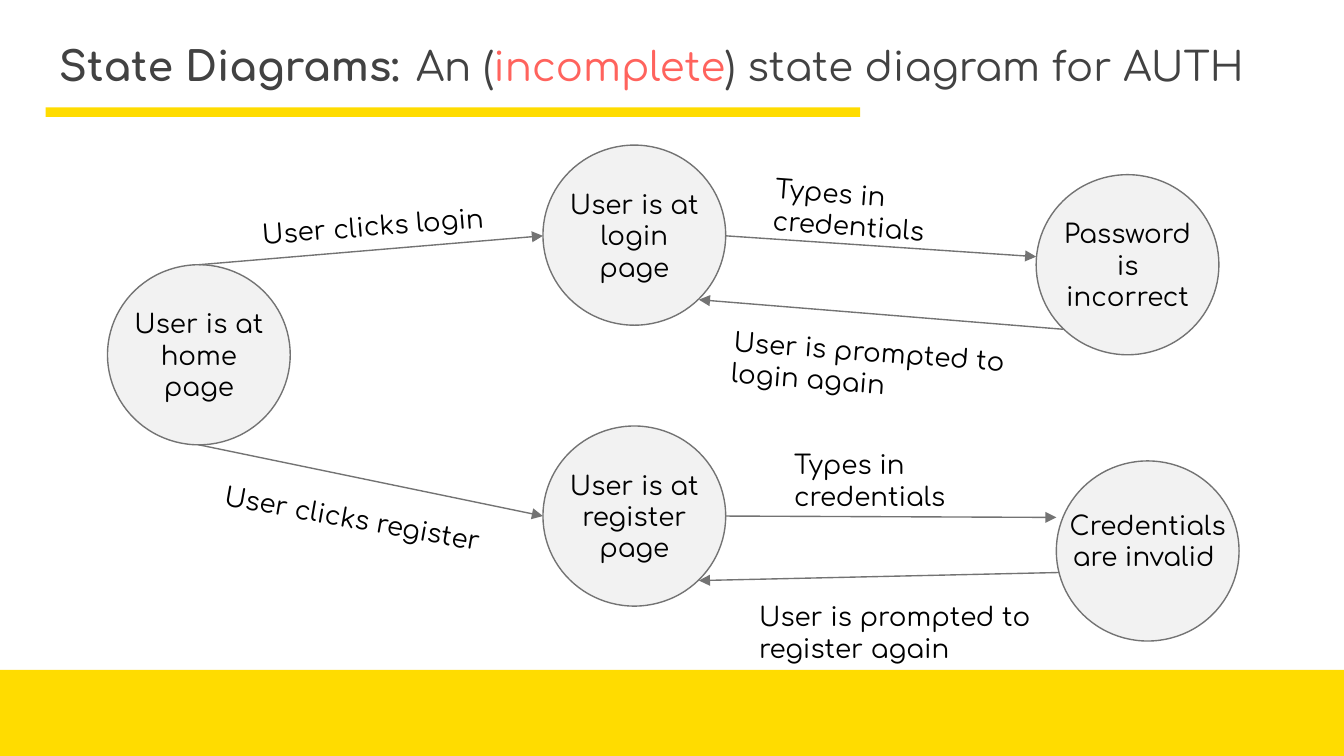
from lxml import etree
from pptx import Presentation
from pptx import util as u
from pptx.dml.color import RGBColor
from pptx.enum import shapes, text
from pptx.oxml.ns import qn

PX = u.Inches(1) // 200  # 200 px to the inch
YELLOW = RGBColor(0xFF, 0xDC, 0x00)
CORAL = RGBColor(0xFF, 0x63, 0x5D)
CHARCOAL = RGBColor(0x42, 0x42, 0x42)
GRAY = RGBColor(0x73, 0x73, 0x73)
PALE = RGBColor(0xF2, 0xF2, 0xF2)
BLACK = RGBColor(0x00, 0x00, 0x00)
FONT = "Comfortaa"
CIRCLE_W, CIRCLE_H = 272, 268

deck = Presentation()
deck.slide_width, deck.slide_height = 2000 * PX, 1125 * PX
slide = deck.slides.add_slide(deck.slide_layouts[6])


def add_filled(preset, box, fill, outline=None):
    shape = slide.shapes.add_shape(preset, *(v * PX for v in box))
    shape.shadow.inherit = False
    shape.fill.solid()
    shape.fill.fore_color.rgb = fill
    if outline is None:
        shape.line.fill.background()
    else:
        shape.line.color.rgb = outline
        shape.line.width = u.Pt(0.75)


def add_text(box, runs, align=text.PP_ALIGN.LEFT, rotation=0, **extra):
    label = slide.shapes.add_textbox(*(v * PX for v in box))
    label.rotation = rotation
    frame = label.text_frame
    layout = dict(word_wrap=True, margin_left=20 * PX, margin_right=20 * PX,
                  margin_top=20 * PX, margin_bottom=20 * PX, **extra)
    for key, value in layout.items():
        setattr(frame, key, value)
    paragraph = frame.paragraphs[0]
    paragraph.alignment = align
    for words, size, color, bold in runs:
        run = paragraph.add_run()
        run.text = words
        look = dict(name=FONT, size=u.Pt(size), bold=bold)
        for key, value in look.items():
            setattr(run.font, key, value)
        run.font.color.rgb = color


# Footer band, title and its underline
add_filled(shapes.MSO_SHAPE.RECTANGLE, (0, 997, 2000, 128), YELLOW)
add_text((68, -2, 1864, 160), [
    ("State Diagrams:", 21.9, CHARCOAL, True),
    (" ", 30, CHARCOAL, True),
    ("An (", 21.5, CHARCOAL, False),
    ("incomplete", 21.5, CORAL, False),
    (") state diagram for AUTH", 21.5, CHARCOAL, False),
], vertical_anchor=text.MSO_ANCHOR.BOTTOM)
add_filled(shapes.MSO_SHAPE.RECTANGLE, (68, 160, 1212, 14), YELLOW)

# States: circle left, top; label inset from the circle, label height
states = [
    ("User is at home page", 160, 394, 15, 44, 182),
    ("User is at login page", 808, 216, 15, 44, 182),
    ("User is at register page", 808, 634, 15, 44, 182),
    ("Password is incorrect", 1542, 260, 15, 44, 182),
    ("Credentials are invalid ", 1572, 686, 0, 52, 134),
]
for words, left, top, inset, drop, height in states:
    add_filled(shapes.MSO_SHAPE.OVAL, (left, top, CIRCLE_W, CIRCLE_H), PALE, GRAY)
    add_text((left + inset, top + drop, CIRCLE_W - 2 * inset, height),
             [(words, 14, BLACK, False)], text.PP_ALIGN.CENTER)

# Transitions: arrow from, to; label box and rotation
transitions = [
    ("User clicks login", (296, 394, 808, 351), (370, 292, 388, 88), 355.6),
    ("User clicks register", (296, 662, 808, 768), (312, 732, 472, 88), 10.1),
    ("Types in credentials", (1080, 351, 1542, 382), (1132, 250, 388, 134), 4.3),
    ("User is prompted to login again", (1582, 490, 1040, 446), (1070, 482, 512, 134), 4.3),
    ("Types in credentials", (1080, 768, 1572, 770), (1162, 648, 388, 134), 0),
    ("User is prompted to register again", (1576, 852, 1040, 864), (1110, 874, 512, 134), 0),
]
for words, ends, box, rotation in transitions:
    arrow = slide.shapes.add_connector(shapes.MSO_CONNECTOR.STRAIGHT, *(v * PX for v in ends))
    arrow.line.color.rgb = GRAY
    arrow.line.width = u.Pt(0.75)
    etree.SubElement(arrow.line._get_or_add_ln(), qn("a:tailEnd"), type="triangle", w="med", len="med")
    etree.SubElement(arrow._element.spPr, qn("a:effectLst"))
    add_text(box, [(words, 14, BLACK, False)], rotation=rotation)

deck.save("out.pptx")
